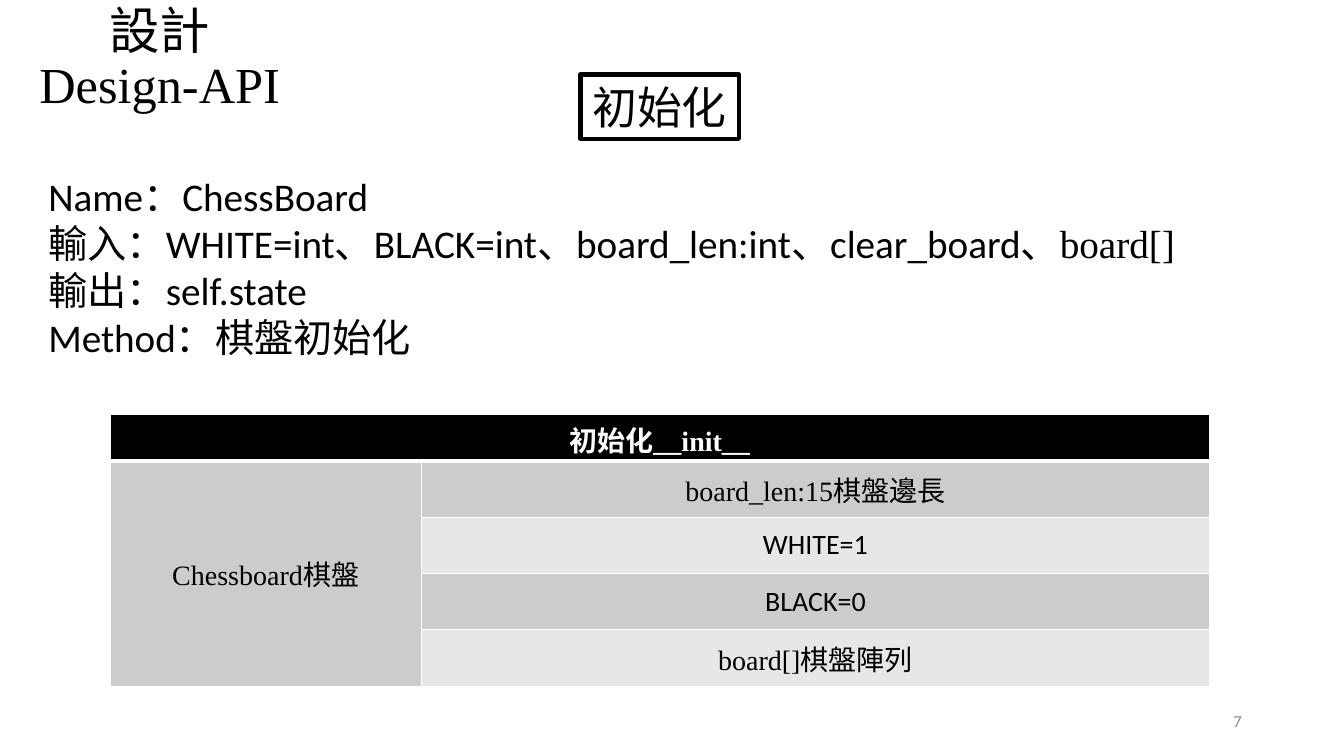
from dataclasses import dataclass

from lxml.etree import SubElement
from pptx import Presentation
from pptx.dml.color import RGBColor
from pptx.enum.shapes import MSO_SHAPE
from pptx.enum.text import MSO_ANCHOR as Anchor, MSO_AUTO_SIZE as AutoSize, PP_ALIGN as Align
from pptx.oxml.ns import qn
from pptx.util import Cm, Pt

BLACK, WHITE, GREY = "000000", "FFFFFF", "8C8C8C"
BANDS = ("CCCCCC", "E7E7E7")
SERIF, SANS, CJK = "Times New Roman", "Calibri", "Noto Sans CJK SC"


@dataclass
class Area:
    left: float
    top: float
    width: float
    height: float

    def lengths(self) -> tuple:
        return Cm(self.left), Cm(self.top), Cm(self.width), Cm(self.height)


@dataclass
class Style:
    font: str
    size: float
    color: str = BLACK
    bold: bool = False
    align: Align = Align.CENTER


@dataclass
class Entry:
    row: int
    column: int
    text: str
    fill: str
    style: Style


TITLE_AREA = Area(0, 0, 8.05, 3.02)
HEADING_AREA = Area(14.63, 1.88, 3.99, 1.62)
API_AREA = Area(0.97, 4.22, 31.93, 5.05)
TABLE_AREA = Area(2.77, 10.44, 27.71, 6.87)
NUMBER_AREA = Area(23.93, 17.65, 7.62, 1.02)
COLUMN_WIDTHS = (7.85, 19.86)
ROW_HEIGHTS = (1.17, 1.42, 1.42, 1.42, 1.42)

API_STYLE = Style(SANS, 28, align=Align.LEFT)
API_LINES = (
    "Name：ChessBoard",
    "輸入：WHITE=int、BLACK=int、board_len:int、clear_board、",
    "輸出：self.state",
    "Method：棋盤初始化",
)
SERIF_CELL, SANS_CELL = Style(SERIF, 20), Style(SANS, 20)
ENTRIES = (
    Entry(0, 0, "初始化__init__", BLACK, Style(SERIF, 20, WHITE, True)),
    Entry(1, 0, "Chessboard棋盤", BANDS[0], SERIF_CELL),
    Entry(1, 1, "board_len:15棋盤邊長", BANDS[0], SERIF_CELL),
    Entry(2, 1, "WHITE=1", BANDS[1], SANS_CELL),
    Entry(3, 1, "BLACK=0", BANDS[0], SANS_CELL),
    Entry(4, 1, "board[]棋盤陣列", BANDS[1], SERIF_CELL),
)


def rgb(color: str) -> RGBColor:
    return RGBColor.from_string(color)


def style_span(span, style: Style) -> None:
    span.font.name = style.font
    span.font.size = Pt(style.size)
    span.font.bold = style.bold
    span.font.color.rgb = rgb(style.color)
    latin = span.font._element.find(qn("a:latin"))
    east_asian = latin.makeelement(qn("a:ea"), {"typeface": CJK})
    latin.addnext(east_asian)


def style_text(frame, style: Style) -> None:
    for para in frame.paragraphs:
        para.alignment = style.align
        for span in para.runs:
            style_span(span, style)


def add_text(page, area: Area, text: str, style: Style, anchor: Anchor = Anchor.TOP):
    box = page.shapes.add_textbox(*area.lengths())
    frame = box.text_frame
    frame.word_wrap = True
    frame.vertical_anchor = anchor
    frame.text = text
    style_text(frame, style)
    return frame


def add_title(page) -> None:
    title = page.shapes.title
    title.left, title.top, title.width, title.height = TITLE_AREA.lengths()
    frame = title.text_frame
    frame.auto_size = AutoSize.NONE
    frame.vertical_anchor = Anchor.MIDDLE
    frame.text = "設計\vDesign-API"
    frame.paragraphs[0].line_spacing = 0.9
    style_text(frame, Style(SERIF, 36))


def add_heading(page) -> None:
    box = page.shapes.add_shape(MSO_SHAPE.RECTANGLE, *HEADING_AREA.lengths())
    box.shadow.inherit = False
    box.fill.background()
    box.line.color.rgb = rgb(BLACK)
    box.line.width = Pt(3)
    frame = box.text_frame
    frame.word_wrap = True
    frame.vertical_anchor = Anchor.TOP
    frame.text = "初始化"
    style_text(frame, Style(CJK, 32))


def add_api(page) -> None:
    frame = add_text(page, API_AREA, "\n".join(API_LINES), API_STYLE)
    span = frame.paragraphs[1].add_run()
    span.text = "board[]"
    style_span(span, Style(SERIF, API_STYLE.size))


def add_borders(cell, bottom: float) -> None:
    properties = cell._tc.get_or_add_tcPr()
    for side, width in (("L", 1), ("R", 1), ("T", 1), ("B", bottom)):
        line = SubElement(properties, qn(f"a:ln{side}"), w=str(Pt(width)))
        SubElement(SubElement(line, qn("a:solidFill")), qn("a:srgbClr"), val=WHITE)


def add_board_table(page) -> None:
    table = page.shapes.add_table(
        len(ROW_HEIGHTS), len(COLUMN_WIDTHS), *TABLE_AREA.lengths()
    ).table
    for column, width in zip(table.columns, COLUMN_WIDTHS):
        column.width = Cm(width)
    for index, (row, height) in enumerate(zip(table.rows, ROW_HEIGHTS)):
        row.height = Cm(height)
        for cell in row.cells:
            add_borders(cell, 3 if index == 0 else 1)
    table.cell(0, 0).merge(table.cell(0, 1))
    table.cell(1, 0).merge(table.cell(4, 0))
    for entry in ENTRIES:
        cell = table.cell(entry.row, entry.column)
        cell.fill.solid()
        cell.fill.fore_color.rgb = rgb(entry.fill)
        cell.vertical_anchor = Anchor.MIDDLE
        cell.text_frame.text = entry.text
        style_text(cell.text_frame, entry.style)


def main() -> None:
    deck = Presentation()
    deck.slide_width, deck.slide_height = Cm(33.87), Cm(19.05)
    page = deck.slides.add_slide(deck.slide_layouts[5])
    add_heading(page)
    add_title(page)
    add_api(page)
    add_board_table(page)
    add_text(page, NUMBER_AREA, "7", Style(SANS, 12, GREY, align=Align.RIGHT), Anchor.MIDDLE)
    deck.save("out.pptx")


if __name__ == "__main__":
    main()
